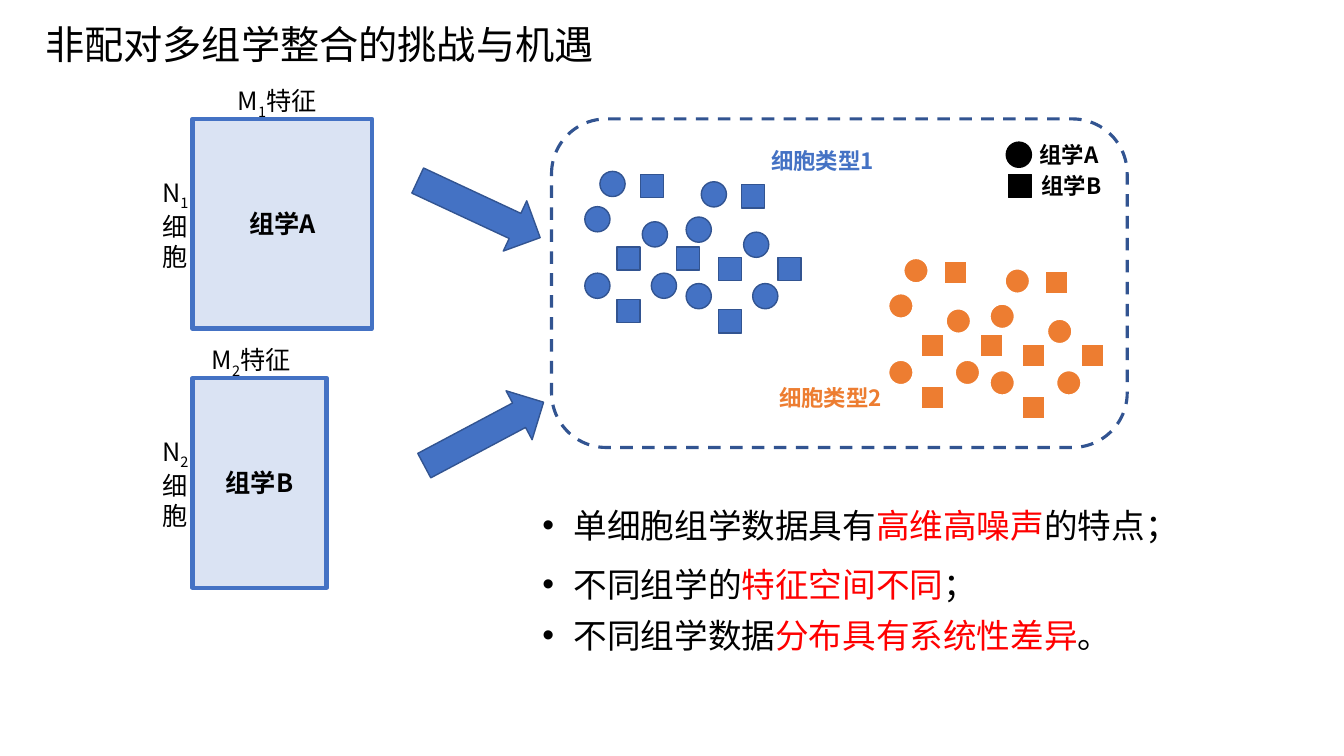
from lxml import etree
from pptx import Presentation
from pptx.dml.color import RGBColor
from pptx.enum.dml import MSO_LINE
from pptx.enum.shapes import MSO_SHAPE
from pptx.enum.text import MSO_ANCHOR, MSO_AUTO_SIZE, PP_ALIGN
from pptx.oxml.ns import qn
from pptx.util import Inches, Pt

RECTANGLE, CIRCLE = MSO_SHAPE.RECTANGLE, MSO_SHAPE.OVAL
ARROW, ROUNDED = MSO_SHAPE.RIGHT_ARROW, MSO_SHAPE.ROUNDED_RECTANGLE
DASH = MSO_LINE.DASH
TOP, MIDDLE = MSO_ANCHOR.TOP, MSO_ANCHOR.MIDDLE
LEFT, CENTER = PP_ALIGN.LEFT, PP_ALIGN.CENTER
GROW, FIXED = MSO_AUTO_SIZE.SHAPE_TO_FIT_TEXT, MSO_AUTO_SIZE.NONE

COLORS = {"black": "000000", "white": "FFFFFF", "red": "FF0000", "blue": "4472C4",
          "navy": "325491", "pale": "DAE3F3", "orange": "ED7D31"}
FONT = "Noto Sans CJK SC"
COLUMNS, ROWS = 133.3, 75  # grid cells of a tenth of an inch
CIRCLE_SIZE, SQUARE_SIZE = 2.5, 2.3

# Places of the cells in half a cluster; the second half is shifted
CIRCLE_CELLS = [(1.5, 0), (0, 3.5), (5.7, 5), (0, 10.1), (6.6, 10.1)]
SQUARE_CELLS = [(5.5, 0.3), (3.2, 7.5), (9.1, 7.5), (3.2, 12.7)]
HALF_SHIFTS = [(0, 0), (10.05, 1.03)]

# Name, columns, top row, left column of the feature label, number
MATRICES = [("组学A", 17.8, 11.8, 22.6, "1"), ("组学B", 13.3, 37.5, 20, "2")]
ARROWS = [(40.8, 18, 25), (41.3, 40.3, 332)]
# Name, fill, line, line width, cluster corner, label corner
CLUSTERS = [("细胞类型1", "blue", "navy", 1, (58, 17), (75.5, 14.1)),
            ("细胞类型2", "orange", "white", 1.5, (88.1, 25.6), (76.3, 37.6))]
LEGEND = [("组学A", CIRCLE, CIRCLE_SIZE, (99.8, 14.1), (102.1, 13.5)),
          ("组学B", RECTANGLE, SQUARE_SIZE, (100, 17.3), (102.3, 16.6))]
# Line spacing, text before, highlighted text, text after
POINTS = [(1.5, "单细胞组学数据具有", "高维高噪声", "的特点；"),
          (1.45, "不同组学的", "特征空间不同", "；"),
          (1.28, "不同组学数据", "分布具有系统性差异", "。")]


class SlideBuilder:
    def __init__(self):
        self.presentation = Presentation()
        self.presentation.slide_width = Inches(COLUMNS / 10)
        self.presentation.slide_height = Inches(ROWS / 10)
        self.column = self.presentation.slide_width / COLUMNS
        self.row = self.presentation.slide_height / ROWS
        self.slide = self.presentation.slides.add_slide(self.presentation.slide_layouts[1])

    def place(self, left, top, width, height):
        return (round(left * self.column), round(top * self.row),
                round(width * self.column), round(height * self.row))

    def color(self, name):
        return RGBColor.from_string(COLORS[name])

    def add_text(self, paragraph, text, size, color="black", bold=False, baseline=0):
        run = paragraph.add_run()
        run.text = text
        run.font.color.rgb = self.color(color)
        for name, value in {"name": FONT, "size": Pt(size), "bold": bold}.items():
            setattr(run.font, name, value)
        properties = run._r.get_or_add_rPr()
        etree.SubElement(properties, qn("a:ea")).set("typeface", FONT)
        if baseline:
            properties.set("baseline", str(baseline * 1000))

    def placeholder(self, index, box):
        """Move a template placeholder and return its text frame."""
        shape = self.slide.placeholders[index]
        shape.left, shape.top, shape.width, shape.height = self.place(*box)
        frame = shape.text_frame
        for name, value in {"word_wrap": True, "auto_size": FIXED,
                            "vertical_anchor": TOP}.items():
            setattr(frame, name, value)
        return frame

    def space(self, paragraph, line_spacing):
        formats = {"alignment": LEFT, "line_spacing": line_spacing,
                   "space_before": Pt(0), "space_after": Pt(0)}
        for name, value in formats.items():
            setattr(paragraph, name, value)

    def title(self, text, box):
        paragraph = self.placeholder(0, box).paragraphs[0]
        self.space(paragraph, 1.5)
        self.add_text(paragraph, text, 28)

    def bullets(self, points, box):
        frame = self.placeholder(1, box)
        for number, (line_spacing, before, highlight, after) in enumerate(points):
            paragraph = frame.add_paragraph() if number else frame.paragraphs[0]
            properties = paragraph._p.get_or_add_pPr()
            properties.set("marL", str(Inches(0.31)))
            properties.set("indent", str(-Inches(0.31)))
            etree.SubElement(properties, qn("a:buFont")).set("typeface", "Arial")
            etree.SubElement(properties, qn("a:buChar")).set("char", "•")
            self.space(paragraph, line_spacing)
            for text, color in ((before, "black"), (highlight, "red"), (after, "black")):
                self.add_text(paragraph, text, 24, color)

    def label(self, runs, box, size=18, color="black", bold=False):
        """Add a text box from (text, baseline) runs."""
        frame = self.slide.shapes.add_textbox(*self.place(*box)).text_frame
        frame.word_wrap, frame.auto_size = True, GROW
        for text, baseline in runs:
            self.add_text(frame.paragraphs[0], text, size, color, bold, baseline)

    def shape(self, kind, box, fill, line, width=1, rotation=0, dash=None, text=""):
        shape = self.slide.shapes.add_shape(kind, *self.place(*box))
        shape.shadow.inherit = False
        shape.rotation = rotation
        if fill:
            shape.fill.solid()
            shape.fill.fore_color.rgb = self.color(fill)
        else:
            shape.fill.background()
        shape.line.color.rgb = self.color(line)
        shape.line.width = Pt(width)
        if dash:
            shape.line.dash_style = dash
        if text:
            shape.text_frame.vertical_anchor = MIDDLE
            paragraph = shape.text_frame.paragraphs[0]
            paragraph.alignment = CENTER
            self.add_text(paragraph, text, 18, bold=True)

    def cluster(self, corner, fill, line, width):
        left, top = corner
        for shift_x, shift_y in HALF_SHIFTS:
            for kind, size, cells in ((CIRCLE, CIRCLE_SIZE, CIRCLE_CELLS),
                                      (RECTANGLE, SQUARE_SIZE, SQUARE_CELLS)):
                for x, y in cells:
                    box = (left + shift_x + x, top + shift_y + y, size, size)
                    self.shape(kind, box, fill, line, width)


def main():
    builder = SlideBuilder()
    builder.title("非配对多组学整合的挑战与机遇", (3.5, -0.8, 88.2, 8.7))
    for name, width, top, label_left, number in MATRICES:
        builder.shape(RECTANGLE, (19.1, top, width, 20.8), "pale", "blue", 3, text=name)
        builder.label([("M", 0), (number, -25), ("特征", 0)],
                      (label_left, top - 3.8, 11.7, 4))
        builder.label([("N", 0), (number, -25), ("细胞", 0)],
                      (15.1, top + 5.25, 4.8, 10.1))
    for left, top, rotation in ARROWS:
        builder.shape(ARROW, (left, top, 13.4, 5.5), "blue", "navy", rotation=rotation)
    builder.shape(ROUNDED, (54.7, 11.8, 57.1, 32.6), None, "navy", 2.25, dash=DASH)
    for name, fill, line, width, corner, label_corner in CLUSTERS:
        builder.cluster(corner, fill, line, width)
        builder.label([(name, 0)], (*label_corner, 15.8, 3.7), 16, fill, True)
    for name, kind, size, corner, label_corner in LEGEND:
        builder.shape(kind, (*corner, size, size), "black", "black")
        builder.label([(name, 0)], (*label_corner, 15.8, 3.7), 16, bold=True)
    builder.bullets(POINTS, (52.8, 47.6, 73, 21.5))
    builder.presentation.save("out.pptx")


if __name__ == "__main__":
    main()
